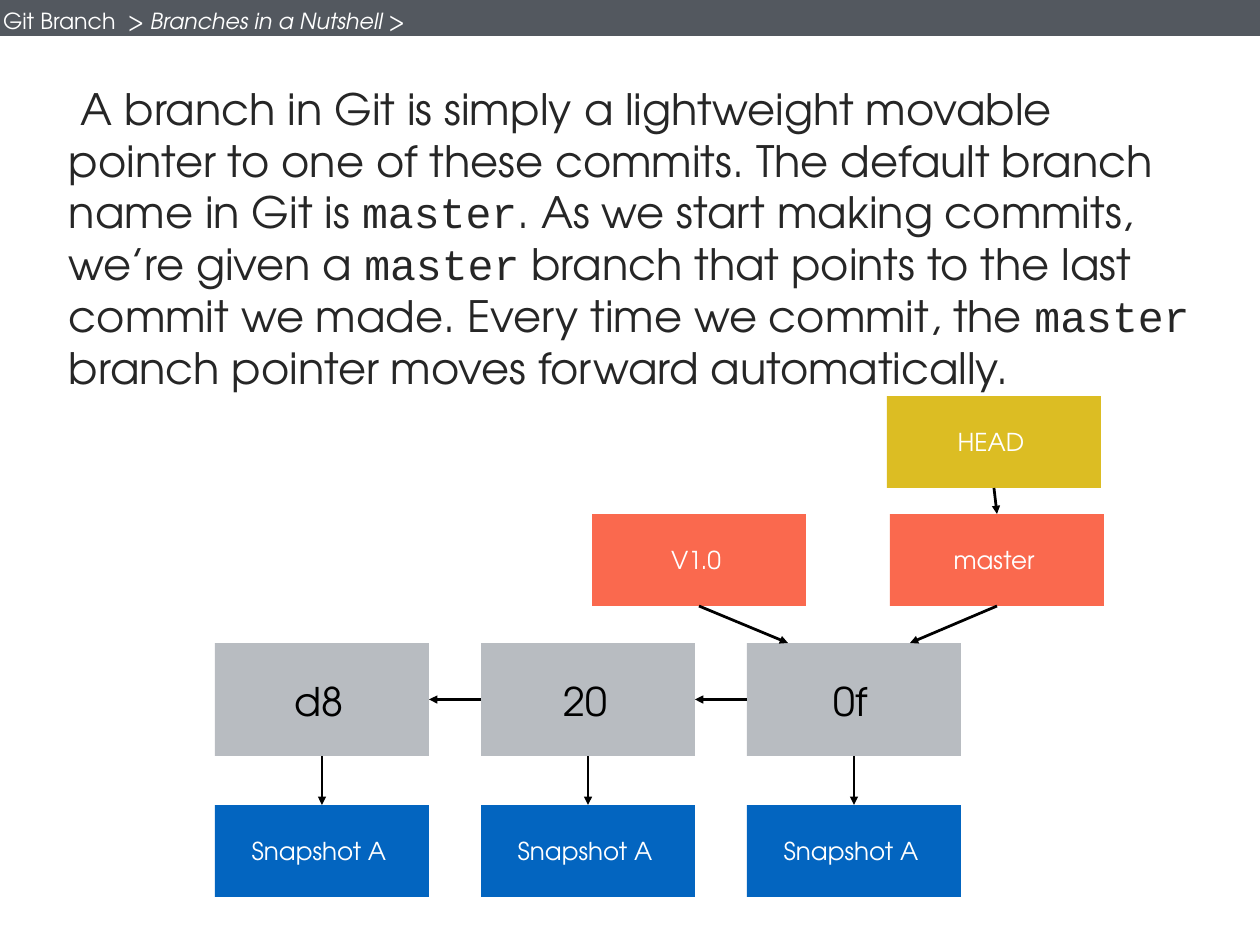
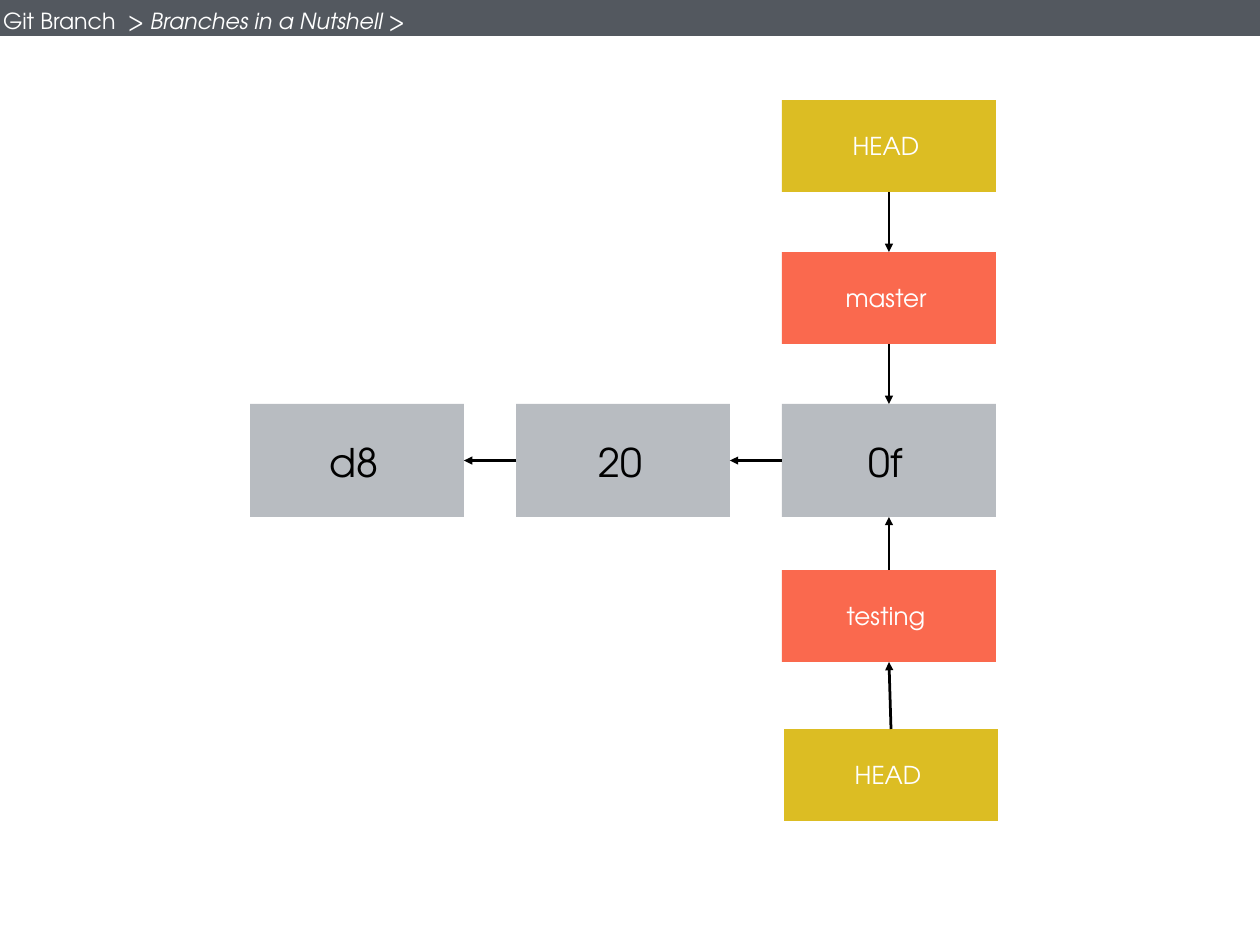
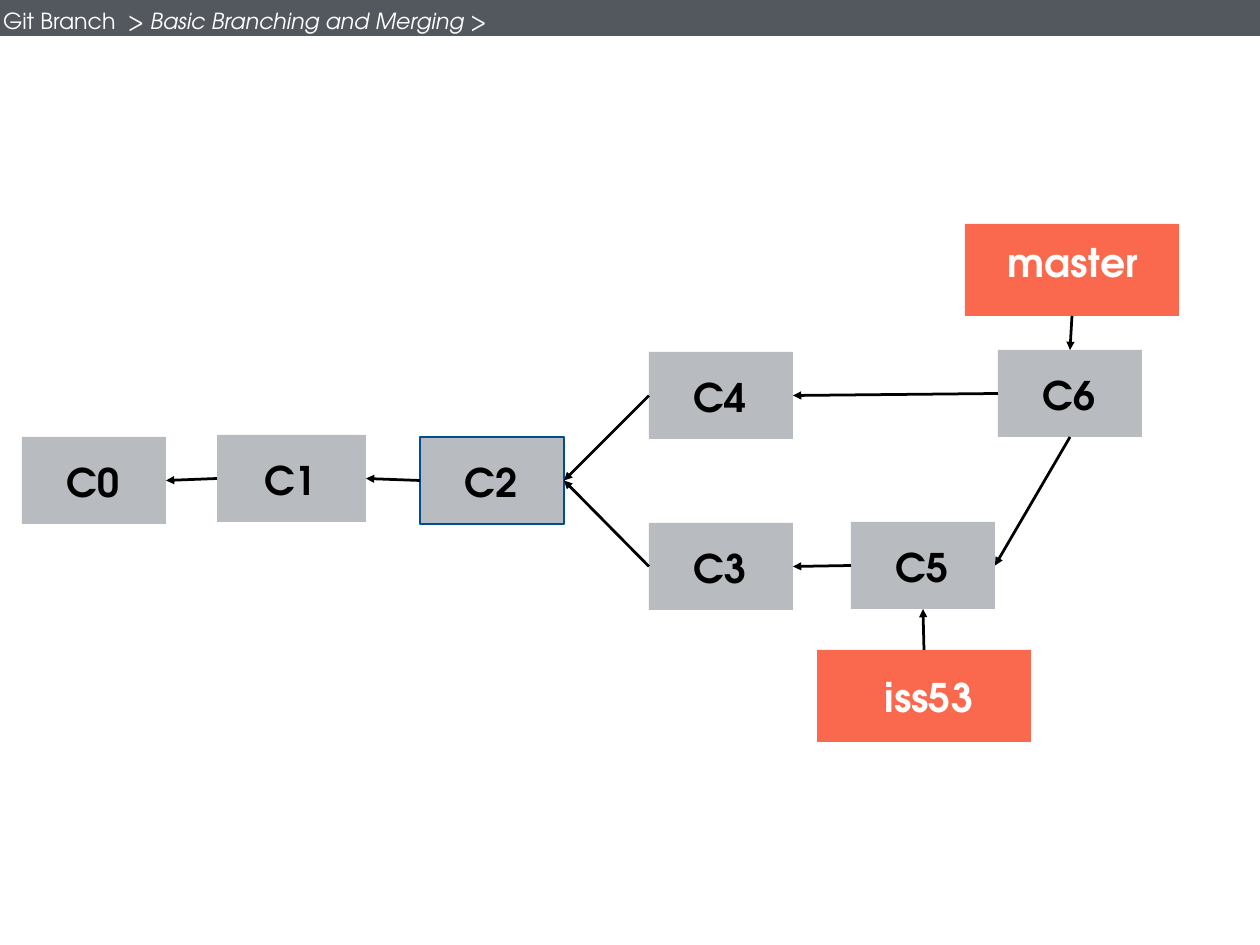
from itertools import pairwise
from pptx import Presentation
from pptx.dml.color import RGBColor
from pptx.enum.shapes import MSO_CONNECTOR, MSO_SHAPE
from pptx.enum.text import MSO_ANCHOR, MSO_AUTO_SIZE, PP_ALIGN
from pptx.oxml.ns import qn
from pptx.util import Pt
from lxml.etree import SubElement

PX = 10320
W, H = 1260, 945
FONT, MONO = "TeX Gyre Adventor", "Courier New"
SLATE = RGBColor(0x53, 0x58, 0x5F)
GRAY = RGBColor(0xB8, 0xBC, 0xC1)
BLUE = RGBColor(0x03, 0x65, 0xC0)
NAVY = RGBColor(0x02, 0x4C, 0x90)
CORAL = RGBColor(0xFA, 0x69, 0x4E)
GOLD = RGBColor(0xDC, 0xBD, 0x23)
INK = RGBColor(0x26, 0x26, 0x26)
BLACK = RGBColor(0, 0, 0)
WHITE = RGBColor(0xFF, 0xFF, 0xFF)

BOX_W, COMMIT_H, LABEL_H, PITCH = 214, 113, 92, 266
NODE_W, NODE_H = 144, 87
INSET = 5
TOP, LEFT, BOTTOM, RIGHT = range(4)


def px(*values):
    return [round(v * PX) for v in values]


def set_insets(tf, left, top, right, bottom):
    tf.margin_left, tf.margin_top, tf.margin_right, tf.margin_bottom = px(left, top, right, bottom)


def style(r, size, color, name=FONT, bold=False, italic=False):
    f = r.font
    f.name, f.size, f.bold, f.italic = name, Pt(size), bold, italic
    f.color.rgb = color


def add_runs(p, texts):
    for text in texts:
        r = p.add_run()
        r.text = text
        yield r


def add_rect(shapes, x, y, w, h, fill):
    sp = shapes.add_shape(MSO_SHAPE.RECTANGLE, *px(x, y, w, h))
    sp.shadow.inherit = False
    sp.fill.solid()
    sp.fill.fore_color.rgb = fill
    sp.line.fill.background()
    return sp


def add_box(s, text, x, y, w, h, fill, size, color=WHITE, bold=False, shift=(-3, 0)):
    sp = add_rect(s.shapes, x, y, w, h, fill)
    tf = sp.text_frame
    tf.text = text
    tf.word_wrap = True
    tf.vertical_anchor = MSO_ANCHOR.MIDDLE
    dx, dy = shift
    set_insets(tf, INSET + max(0, 2 * dx), INSET + max(0, 2 * dy),
               INSET + max(0, -2 * dx), INSET + max(0, -2 * dy))
    p = tf.paragraphs[0]
    p.alignment = PP_ALIGN.CENTER
    style(p.runs[0], size, color, bold=bold)
    return sp


def add_label(s, text, x, y, fill, size=20, **options):
    return add_box(s, text, x, y, BOX_W, LABEL_H, fill, size, **options)


def add_node(s, text, x, y, w=NODE_W):
    return add_box(s, text, x, y, w, NODE_H, GRAY, 32, BLACK, True, (-1, 1))


def add_arrow(s, start, start_site, end, end_site=None, point=(0, 0)):
    cx = s.shapes.add_connector(MSO_CONNECTOR.STRAIGHT, 0, 0, *px(*point))
    cx.begin_connect(start, start_site)
    if end is not None:
        cx.end_connect(end, end_site)
    cx.line.color.rgb = BLACK
    cx.line.width = Pt(2.25)
    SubElement(cx.line._get_or_add_ln(), qn("a:tailEnd"), type="triangle")
    SubElement(cx._element.spPr, qn("a:effectLst"))


def add_commits(s, x, y):
    commits = [add_box(s, text, x + i * PITCH, y, BOX_W, COMMIT_H, GRAY, 32, BLACK, shift=(-3, 1))
               for i, text in enumerate(("d8", "20", "0f"))]
    for parent, child in pairwise(commits):
        add_arrow(s, child, LEFT, parent, RIGHT)
    return commits


def add_band(prs, layout):
    s = prs.slides.add_slide(layout)
    band = add_rect(s.shapes, 0, 0, W, 36, SLATE)
    layout.shapes._spTree.insert(2, band._element)
    return s


def set_title(s, topic, width):
    sp = s.shapes.title
    sp.left, sp.top, sp.width, sp.height = px(-2, 2, width, 37)
    tf = sp.text_frame
    tf.word_wrap = False
    tf.auto_size = MSO_AUTO_SIZE.SHAPE_TO_FIT_TEXT
    tf.vertical_anchor = MSO_ANCHOR.MIDDLE
    set_insets(tf, *[INSET] * 4)
    p = tf.paragraphs[0]
    p.alignment = PP_ALIGN.LEFT
    for r in add_runs(p, ("Git Branch  > ", topic, " >")):
        style(r, 18, WHITE, italic=r.text == topic)


def add_intro(s, x, y, w, h):
    tf = s.shapes.add_textbox(*px(x, y, w, h)).text_frame
    tf.word_wrap = True
    set_insets(tf, 6, 6, 6, 6)
    p = tf.paragraphs[0]
    p.space_before = Pt(6)
    texts = (
        " A branch in Git is simply a lightweight movable pointer to one of these commits. "
        "The default branch name in Git is ",
        "master",
        ". As we start making commits, we’re given a ",
        "master",
        " branch that points to the last commit we made. Every time we commit, the ",
        "master",
        " branch pointer moves forward automatically.",
    )
    for r in add_runs(p, texts):
        style(r, 35.1, INK, MONO if r.text == "master" else FONT)


def build_pointer_slide(s):
    set_title(s, "Branches in a Nutshell", 412)
    add_intro(s, 63, 76, 1134, 316)
    x, y = 215, 643
    commits = add_commits(s, x, y)
    for i, commit in enumerate(commits):
        snapshot = add_label(s, "Snapshot A", x + i * PITCH, y + 162, BLUE)
        add_arrow(s, commit, BOTTOM, snapshot, TOP)
    tag = add_label(s, "V1.0", 592, 514, CORAL)
    master = add_label(s, "master", 890, 514, CORAL)
    head = add_label(s, "HEAD", 887, 396, GOLD)
    add_arrow(s, tag, BOTTOM, None, point=(788, y))
    add_arrow(s, master, BOTTOM, None, point=(910, y))
    add_arrow(s, head, BOTTOM, master, TOP)


def build_branch_slide(s):
    set_title(s, "Branches in a Nutshell", 412)
    last = add_commits(s, 250, 404)[-1]
    x = 250 + 2 * PITCH
    master = add_label(s, "master", x, 252, CORAL)
    testing = add_label(s, "testing", x, 570, CORAL)
    upper_head = add_label(s, "HEAD", x, 100, GOLD)
    lower_head = add_label(s, "HEAD", x + 2, 729, GOLD)
    for start, end in ((upper_head, master), (master, last)):
        add_arrow(s, start, BOTTOM, end, TOP)
    for start, end in ((lower_head, testing), (testing, last)):
        add_arrow(s, start, TOP, end, BOTTOM)


def build_merge_slide(s):
    set_title(s, "Basic Branching and Merging", 495)
    c0 = add_node(s, "C0", 22, 437)
    c1 = add_node(s, "C1", 217, 435, 149)
    c2 = add_node(s, "C2", 420, 437)
    c2.line.color.rgb = NAVY
    c2.line.width = Pt(1)
    c3 = add_node(s, "C3", 649, 523)
    c4 = add_node(s, "C4", 649, 352)
    c5 = add_node(s, "C5", 851, 522)
    c6 = add_node(s, "C6", 998, 350)
    master = add_label(s, "master", 965, 224, CORAL, 32, bold=True, shift=(1, -8))
    issue = add_label(s, "iss53", 817, 650, CORAL, 32, bold=True, shift=(5, 1))
    for child, parent in ((c1, c0), (c2, c1), (c3, c2), (c4, c2), (c5, c3), (c6, c4)):
        add_arrow(s, child, LEFT, parent, RIGHT)
    add_arrow(s, c6, BOTTOM, c5, RIGHT)
    add_arrow(s, master, BOTTOM, c6, TOP)
    add_arrow(s, issue, TOP, c5, BOTTOM)


def main():
    prs = Presentation()
    prs.slide_width, prs.slide_height = px(W, H)
    layout = prs.slide_layouts[5]
    build_pointer_slide(add_band(prs, layout))
    for build in (build_branch_slide, build_merge_slide):
        build(prs.slides.add_slide(layout))
    prs.save("out.pptx")


if __name__ == "__main__":
    main()
